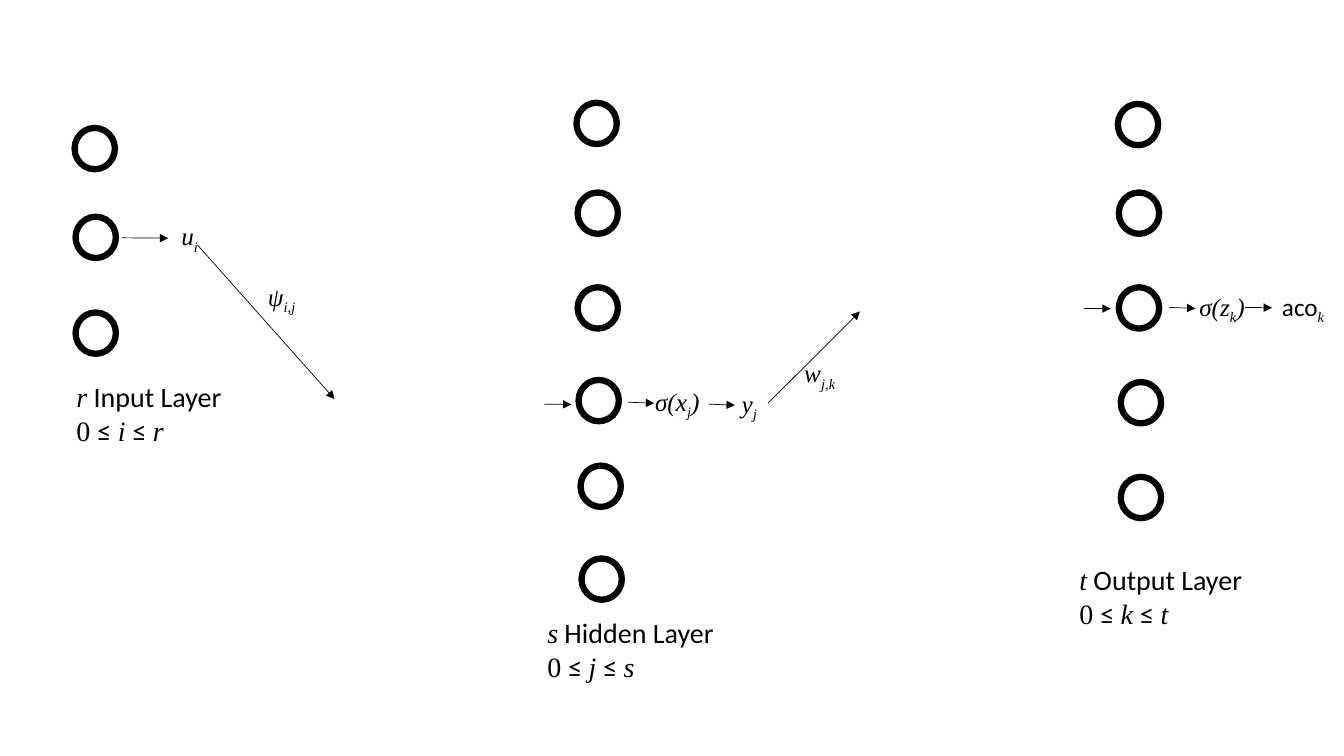
import pptx
import pptx.dml.color
import pptx.enum.shapes
import pptx.enum.text
import pptx.oxml.ns
import pptx.util
from lxml import etree

Pt = pptx.util.Pt
COLORS = {"ink": "000000"}
SERIF, SANS = "Times New Roman", "Calibri"
NODE = (28.8, 29.5)
INK = pptx.dml.color.RGBColor.from_string(COLORS["ink"])


def write(par, parts, size):
    par.font.size = Pt(size)
    par.font.color.rgb = INK
    for text, style in parts:
        run = par.add_run()
        run.text = text
        run.font.name = SANS if style == "sans" else SERIF
        run.font.italic = style in ("math", "sub")
        if style == "sub":
            run._r.get_or_add_rPr().set("baseline", "-25000")


def add_text(slide, x, y, w, h, lines, size, wrap):
    box = slide.shapes.add_textbox(Pt(x), Pt(y), Pt(w), Pt(h))
    frame = box.text_frame
    frame.word_wrap = wrap
    frame.auto_size = pptx.enum.text.MSO_AUTO_SIZE.SHAPE_TO_FIT_TEXT
    for i, parts in enumerate(lines):
        par = frame.add_paragraph() if i else frame.paragraphs[0]
        write(par, parts, size)


def add_node(slide, x, y):
    node = slide.shapes.add_shape(
        pptx.enum.shapes.MSO_SHAPE.OVAL, Pt(x), Pt(y), Pt(NODE[0]), Pt(NODE[1]))
    node.shadow.inherit = False
    node.fill.background()
    node.line.color.rgb = INK
    node.line.width = Pt(4.5)


def add_arrow(slide, x1, y1, x2, y2):
    arrow = slide.shapes.add_connector(
        pptx.enum.shapes.MSO_CONNECTOR.STRAIGHT, Pt(x1), Pt(y1), Pt(x2), Pt(y2))
    arrow.line.color.rgb = INK
    arrow.line.width = Pt(0.5)
    qn = pptx.oxml.ns.qn
    etree.SubElement(arrow.line._get_or_add_ln(), qn("a:tailEnd"), type="triangle")
    etree.SubElement(arrow._element.spPr, qn("a:effectLst"))


def add_layer(slide, x, y, count, name, index, drop, nodes, arrows, labels):
    for dx, dy in nodes:
        add_node(slide, x + dx, y + dy)
    for x1, y1, x2, y2 in arrows:
        add_arrow(slide, x + x1, y + y1, x + x2, y + y2)
    for dx, dy, width, parts in labels:
        add_text(slide, x + dx, y + dy, width, 29, [parts], 18, False)
    title = [(count, "math"), (f" {name} Layer", "sans")]
    span = [("0 ", "serif"), ("≤ ", "sans"), (index + " ", "math"),
            ("≤ ", "sans"), (count, "math")]
    add_text(slide, x, y + drop, 188.6, 55.4, [title, span], 20, True)


def term(base, sub, end="", style="math"):
    parts = [(base, style), (sub, "sub")]
    return parts + [(end, style)] if end else parts


def main():
    deck = pptx.Presentation()
    deck.slide_width, deck.slide_height = Pt(960), Pt(540)
    slide = deck.slides.add_slide(deck.slide_layouts[6])
    add_layer(
        slide, 47.5, 91.4, "r", "Input", "i", 176.4,
        nodes=[(5.8, 0), (6.5, 63.4), (6.5, 131.8)],
        arrows=[(39.6, 78.5, 72.7, 78.7), (93.6, 83.6, 191.5, 193.7)],
        labels=[(74.9, 62.7, 27.4, term("u", "i")),
                (136.8, 105.9, 36.7, term("ψ", "i,j"))])
    add_layer(
        slide, 383.8, 73.4, "s", "Hidden", "j", 362.9,
        nodes=[(28, 0), (28.8, 64.1), (28.8, 131.8),
               (29.5, 198), (30.9, 259.2), (31.6, 325.5)],
        arrows=[(5, 215.3, 24.4, 215.5), (64.8, 213.9, 83.5, 214.6),
                (122.4, 215.3, 141.1, 216), (164.8, 214.6, 230.4, 149.1)],
        labels=[(77, 198.8, 49, term("σ(x", "j", ")")),
                (138.9, 200.2, 25.9, term("y", "j")),
                (183.6, 178.6, 38.9, term("w", "j,k"))])
    add_layer(
        slide, 763.9, 74.2, "t", "Output", "k", 324,
        nodes=[(34.6, 0), (35.3, 63.3), (35.3, 131), (36.7, 198.7), (36.7, 266.4)],
        arrows=[(10.1, 146.1, 29.5, 146.3), (71.3, 145.4, 90, 146.1),
                (125.3, 145.4, 144.7, 145.6)],
        labels=[(85.7, 130.3, 50.4, term("σ(z", "k", ")")),
                (144.7, 130.3, 46, term("aco", "k", style="sans"))])
    deck.save("out.pptx")


if __name__ == "__main__":
    main()
